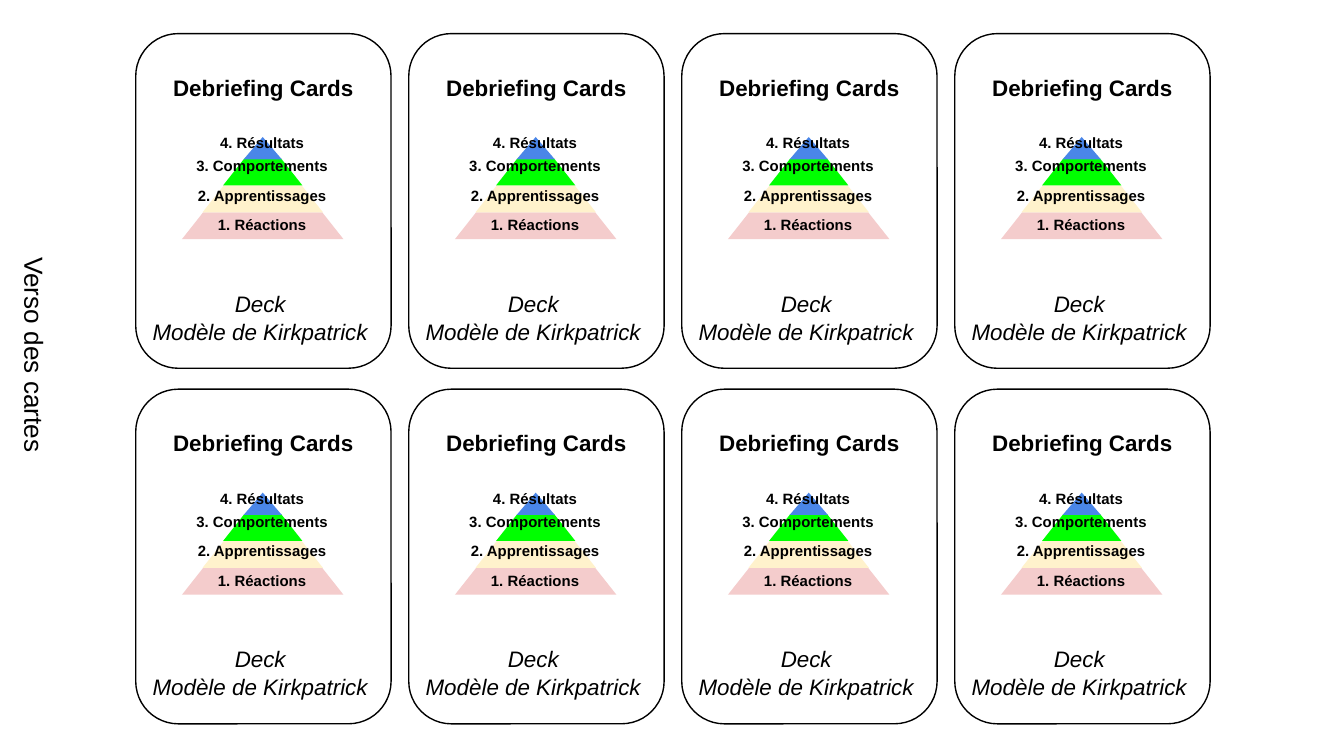
from pptx import Presentation
from pptx.dml.color import RGBColor
from pptx.enum import shapes, text
from pptx.util import Pt

CARD_WIDTH, CARD_HEIGHT = 136.8, 179.3
COLUMN_STEP, ROW_STEP = 146.25, 190.5
LEFT, TOP = 72.75, 18
CENTRE = 68
LEVEL_HEIGHT = 14.4
LEVELS = [
    ("1. Réactions", "F4CCCC", 92.9, 16.6),
    ("2. Apprentissages", "FFF2CC", 77, 16.6),
    ("3. Comportements", "00FF00", 61.2, 16.6),
    ("4. Résultats", "4A86E8", 49, 9.4),
]


def colour(value):
    """Return the colour for a hex string."""
    return RGBColor.from_string(value)


def add_paragraph(frame, words, size=12, bold=False, italic=False,
                  align=text.PP_ALIGN.CENTER, before=0):
    """Write one formatted paragraph, using the empty first one if it is free."""
    paragraph = frame.paragraphs[0]
    if paragraph.runs:
        paragraph = frame.add_paragraph()
    paragraph.alignment = align
    paragraph.space_before = Pt(before)
    run = paragraph.add_run()
    run.text = words
    run.font.name = "Arial"
    run.font.size = Pt(size)
    run.font.bold = bold
    run.font.italic = italic
    run.font.color.rgb = colour("000000")


def set_frame(shape, inset, top_inset):
    """Wrap the text of a shape from its top and return the text frame."""
    frame = shape.text_frame
    frame.word_wrap = True
    frame.vertical_anchor = text.MSO_ANCHOR.TOP
    frame.margin_left = frame.margin_right = frame.margin_bottom = Pt(inset)
    frame.margin_top = Pt(top_inset)
    return frame


def add_shape(parent, kind, left, top, width, height, fill, line=None):
    """Add a filled preset shape, outlined only if a line colour is given."""
    shape = parent.shapes.add_shape(kind, Pt(left), Pt(top), Pt(width), Pt(height))
    shape.shadow.inherit = False
    shape.fill.solid()
    shape.fill.fore_color.rgb = colour(fill)
    if line:
        shape.line.color.rgb = colour(line)
        shape.line.width = Pt(0.75)
    else:
        shape.line.fill.background()
    return shape


def add_label(parent, words, left, top, width, height, **style):
    """Add a text box with one paragraph."""
    box = parent.shapes.add_textbox(Pt(left), Pt(top), Pt(width), Pt(height))
    add_paragraph(set_frame(box, 7.2, 7.2), words, **style)
    return box


def add_pyramid(group, left, top):
    """Add the four levels of the pyramid, then their labels."""
    for index, (_, fill, _, _) in enumerate(LEVELS):
        width = 86.5 - 22 * index
        level_left = left + CENTRE - width / 2
        if index < len(LEVELS) - 1:
            level_top = top + 95.75 - LEVEL_HEIGHT * index
            level = add_shape(group, shapes.MSO_SHAPE.TRAPEZOID, level_left,
                              level_top, width, LEVEL_HEIGHT, fill)
            level.adjustments[0] = 0.79
        else:
            add_shape(group, shapes.MSO_SHAPE.ISOSCELES_TRIANGLE, level_left,
                      top + 55.4, width, 12, fill)
    for words, _, offset, height in reversed(LEVELS):
        add_label(group, words, left + CENTRE - 43.5, top + offset, 86.4, height,
                  size=8, bold=True)


def add_card(slide, left, top):
    """Add the back of one card as a group."""
    group = slide.shapes.add_group_shape()
    card = add_shape(group, shapes.MSO_SHAPE.ROUNDED_RECTANGLE, left, top,
                     CARD_WIDTH, CARD_HEIGHT, "FFFFFF", "000000")
    frame = set_frame(card, 0, 14.9)
    add_paragraph(frame, "Debriefing Cards", bold=True)
    add_paragraph(frame, "Deck ", italic=True, before=101.4)
    add_paragraph(frame, "Modèle de Kirkpatrick ", italic=True, before=0.6)
    add_pyramid(group, left, top)


def main():
    """Build the sheet of card backs and save it."""
    presentation = Presentation()
    presentation.slide_width = Pt(720)
    presentation.slide_height = Pt(405)
    slide = presentation.slides.add_slide(presentation.slide_layouts[6])
    for row in range(2):
        for column in range(4):
            add_card(slide, LEFT + COLUMN_STEP * column, TOP + ROW_STEP * row)
    title = add_label(slide, "Verso des cartes", -41, 178, 122.4, 28, size=14,
                      align=text.PP_ALIGN.LEFT)
    title.rotation = 90
    presentation.save("out.pptx")


if __name__ == "__main__":
    main()
